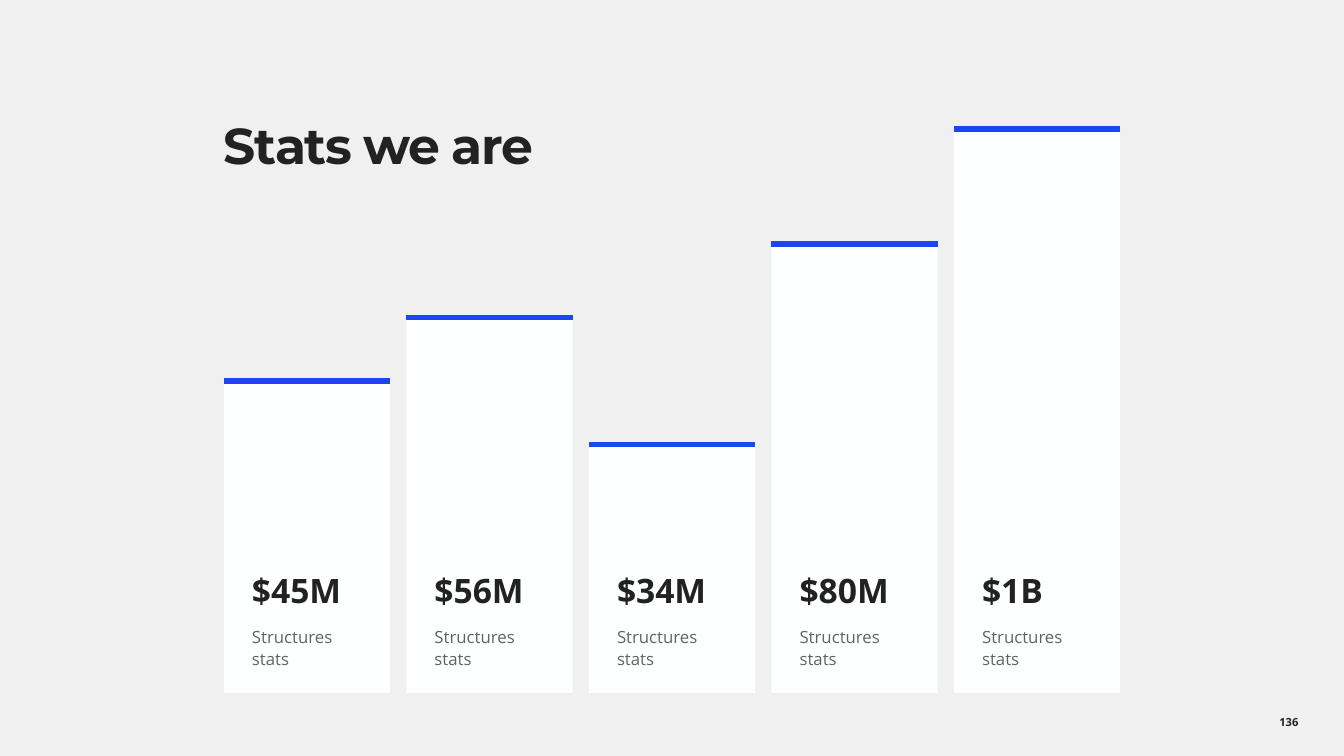
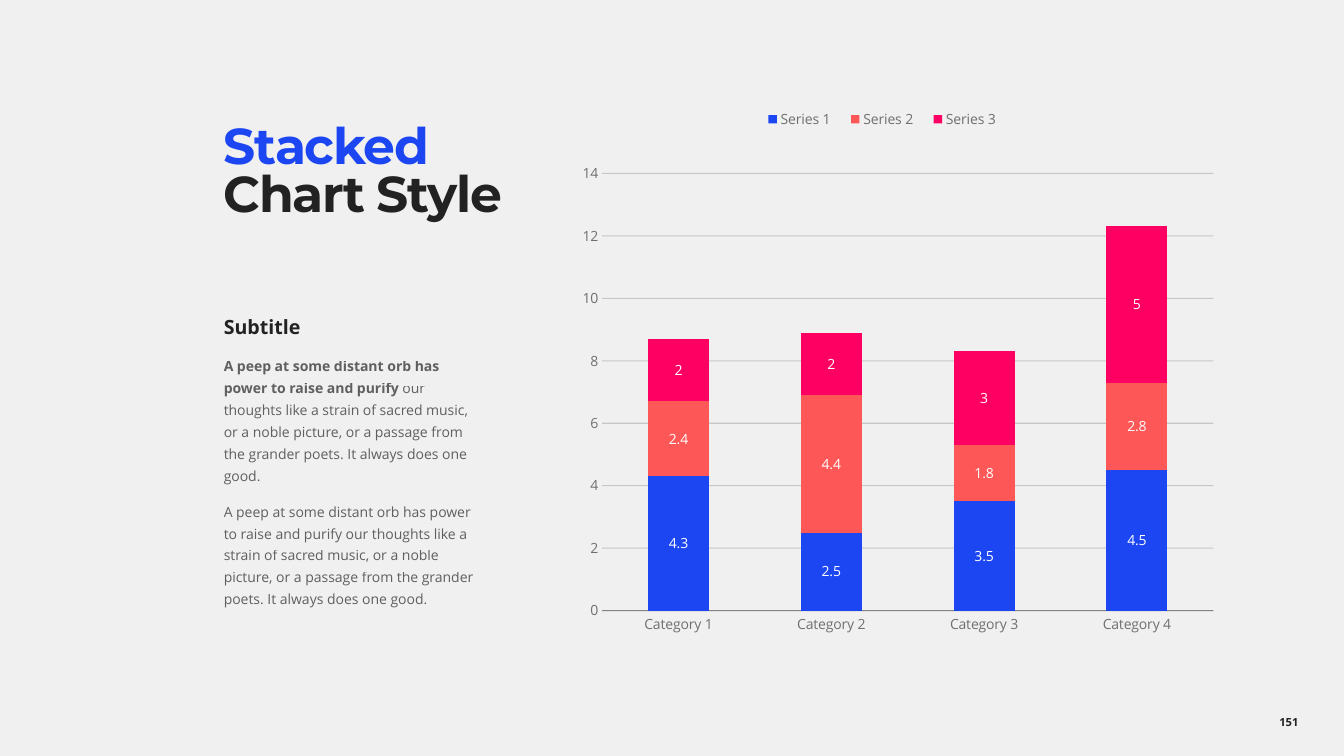
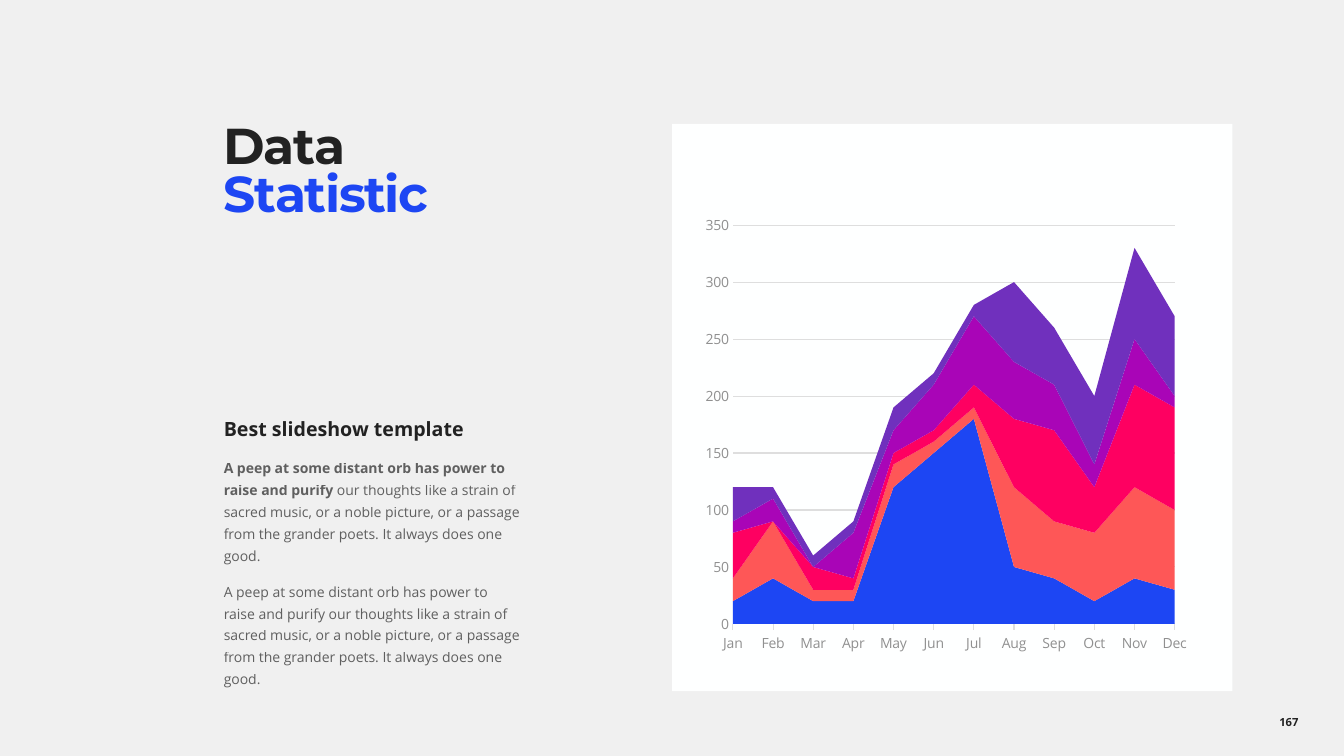
"""Build three statistics slides: value columns, a stacked column chart and a stacked area chart."""
from dataclasses import dataclass

from lxml.etree import SubElement
from pptx import Presentation
from pptx.chart.chart import Chart
from pptx.chart.data import CategoryChartData
from pptx.dml.color import RGBColor
from pptx.dml.fill import FillFormat
from pptx.enum.chart import XL_CHART_TYPE, XL_LABEL_POSITION, XL_LEGEND_POSITION, XL_TICK_MARK
from pptx.enum.shapes import MSO_CONNECTOR, MSO_SHAPE
from pptx.enum.text import MSO_ANCHOR, PP_ALIGN
from pptx.oxml.ns import qn
from pptx.shapes.autoshape import Shape
from pptx.slide import Slide
from pptx.text.text import Font, TextFrame, _Paragraph
from pptx.util import Cm, Pt

BACKGROUND, WHITE, PANEL = "F0F0F0", "FFFFFF", "FEFFFF"
INK, BLUE, CORAL, PINK, PURPLE, VIOLET = "222222", "1D46F3", "FE5757", "FE0061", "A905B7", "7030BD"
PALETTE = (BLUE, CORAL, PINK, PURPLE, VIOLET)
HEADING_FONT, BODY_FONT = "Montserrat", "Open Sans"
MARGIN = 5.64
CARD_WIDTH, CARD_PITCH, CARD_BOTTOM = 4.19, 4.6, 17.46
LEAD = "A peep at some distant orb has power to raise and purify "
REST = ("our thoughts like a strain of sacred music, or a noble picture, "
        "or a passage from the grander poets. It always does one good.")


@dataclass(frozen=True)
class Box:
    left: float
    top: float
    width: float
    height: float

    def lengths(self) -> tuple[Cm, Cm, Cm, Cm]:
        return Cm(self.left), Cm(self.top), Cm(self.width), Cm(self.height)


@dataclass(frozen=True)
class Card:
    value: str
    top: float


@dataclass(frozen=True)
class TitleLine:
    text: str
    color: str = INK


@dataclass(frozen=True)
class ChartStyle:
    text_color: str
    line_color: str
    axis_opacity: int
    grid_opacity: int
    maximum: int
    step: int
    plot_layout: tuple[float, float, float, float]


CARDS = (Card("$45M", 9.55), Card("$56M", 7.95), Card("$34M", 11.15),
         Card("$80M", 6.1), Card("$1B", 3.2))
COLUMN_STYLE = ChartStyle("6F6F6F", INK, 40, 20, 14, 2, (0.054, 0.136, 0.919, 0.694))
AREA_STYLE = ChartStyle("909090", "DEDEDE", 100, 100, 350, 50, (0.052, 0.126, 0.879, 0.718))
COLUMN_CATEGORIES = [f"Category {number}" for number in range(1, 5)]
COLUMN_VALUES = ((4.3, 2.5, 3.5, 4.5), (2.4, 4.4, 1.8, 2.8), (2, 2, 3, 5))
MONTHS = "Jan Feb Mar Apr May Jun Jul Aug Sep Oct Nov Dec".split()
AREA_VALUES = (
    (20, 40, 20, 20, 120, 150, 180, 50, 40, 20, 40, 30),
    (20, 50, 10, 10, 20, 10, 10, 70, 50, 60, 80, 70),
    (40, 0, 20, 10, 10, 10, 20, 60, 80, 40, 90, 90),
    (10, 20, 0, 40, 20, 40, 60, 50, 40, 20, 40, 10),
    (30, 10, 10, 10, 20, 10, 10, 70, 50, 60, 80, 70),
)


def paint(fill: FillFormat, color: str) -> None:
    fill.solid()
    fill.fore_color.rgb = RGBColor.from_string(color)


def set_opacity(element, percent: int) -> None:
    if percent < 100:
        for color in element.iter(qn("a:srgbClr")):
            SubElement(color, qn("a:alpha")).set("val", str(percent * 1000))


def set_font(font: Font, size: float, color: str, bold: bool = False, name: str = BODY_FONT) -> None:
    font.size, font.bold, font.name = Pt(size), bold, name
    paint(font.fill, color)


def set_insets(frame: TextFrame, left: float, top: float, right: float, bottom: float) -> None:
    frame.word_wrap = True
    frame.margin_left, frame.margin_top = Cm(left), Cm(top)
    frame.margin_right, frame.margin_bottom = Cm(right), Cm(bottom)


def add_paragraph(frame: TextFrame, spacing: float) -> _Paragraph:
    paragraph = frame.add_paragraph()
    paragraph.line_spacing, paragraph.space_before = spacing, Pt(10)
    return paragraph


def add_panel(slide: Slide, box: Box) -> Shape:
    shape = slide.shapes.add_shape(MSO_SHAPE.RECTANGLE, *box.lengths())
    shape.shadow.inherit = False
    paint(shape.fill, PANEL)
    shape.line.fill.background()
    return shape


def add_base_slide(presentation: Presentation, number: int, title: tuple[TitleLine, ...]) -> Slide:
    slide = presentation.slides.add_slide(presentation.slide_layouts[6])
    paint(slide.background.fill, BACKGROUND)

    frame = slide.shapes.add_textbox(*Box(31.09, 17.68, 2.79, 1.02).lengths()).text_frame
    frame.word_wrap, frame.vertical_anchor = True, MSO_ANCHOR.MIDDLE
    paragraph = frame.paragraphs[0]
    paragraph.text, paragraph.alignment = str(number), PP_ALIGN.CENTER
    set_font(paragraph.font, 8, INK, True)

    frame = slide.shapes.add_textbox(*Box(MARGIN, 2.64, 25.43, 3.48).lengths()).text_frame
    set_insets(frame, 0, 0.53, 0, 0)
    paragraph = frame.paragraphs[0]
    paragraph.line_spacing = 0.8
    set_font(paragraph.font, 36, INK, True, HEADING_FONT)
    paragraph._p.pPr.find(qn("a:defRPr")).set("spc", "-100")
    for index, line in enumerate(title):
        if index:
            paragraph.add_line_break()
        run = paragraph.add_run()
        run.text = line.text
        paint(run.font.fill, line.color)
    return slide


def add_card(slide: Slide, card: Card, left: float) -> None:
    shape = add_panel(slide, Box(left, card.top, CARD_WIDTH, CARD_BOTTOM - card.top))
    frame = shape.text_frame
    set_insets(frame, 0.71, 0.89, 0.51, 0.61)
    frame.vertical_anchor = MSO_ANCHOR.BOTTOM
    value = frame.paragraphs[0]
    value.text, value.line_spacing, value.alignment = card.value, 1.1, PP_ALIGN.LEFT
    set_font(value.font, 24, INK, True)
    caption = add_paragraph(frame, 1.1)
    caption.text, caption.alignment = "Structures stats", PP_ALIGN.LEFT
    set_font(caption.font, 12, INK)
    set_opacity(caption._p, 70)

    height = Cm(card.top + 0.05)
    edge = slide.shapes.add_connector(
        MSO_CONNECTOR.STRAIGHT, Cm(left), height, Cm(left + CARD_WIDTH), height)
    edge.line.width = Pt(4)
    paint(edge.line.fill, BLUE)
    SubElement(edge._element.spPr, qn("a:effectLst"))


def add_body(slide: Slide, box: Box, subtitle: str) -> None:
    frame = slide.shapes.add_textbox(*box.lengths()).text_frame
    set_insets(frame, 0, 0.1, 0.61, 0.1)
    heading = frame.paragraphs[0]
    heading.text, heading.line_spacing = subtitle, 1.3
    set_font(heading.font, 14, INK, True)
    for parts in ((LEAD, REST), (LEAD + REST,)):
        paragraph = add_paragraph(frame, 1.3)
        for part in parts:
            run = paragraph.add_run()
            run.text = part
            if part == LEAD:
                run.font.bold = True
        set_font(paragraph.font, 10, INK)
        set_opacity(paragraph._p, 70)


def set_layout(parent, position: int, values: tuple[float, ...], inner: bool = False) -> None:
    for old in parent.findall(qn("c:layout")):
        parent.remove(old)
    layout = SubElement(parent, qn("c:layout"))
    parent.insert(position, layout)
    manual = SubElement(layout, qn("c:manualLayout"))
    if inner:
        SubElement(manual, qn("c:layoutTarget")).set("val", "inner")
    for name in ("xMode", "yMode"):
        SubElement(manual, qn(f"c:{name}")).set("val", "edge")
    for name, value in zip("xywh", values):
        SubElement(manual, qn(f"c:{name}")).set("val", str(value))


def add_stacked_chart(slide: Slide, kind: XL_CHART_TYPE, box: Box, categories: list[str],
                      rows: tuple[tuple[float, ...], ...], style: ChartStyle) -> Chart:
    data = CategoryChartData()
    data.categories = categories
    for number, row in enumerate(rows, 1):
        data.add_series(f"Series {number}", row)
    chart = slide.shapes.add_chart(kind, *box.lengths(), data).chart
    chart.has_title = chart.has_legend = False
    set_font(chart.font, 10, INK)
    chart.plots[0].vary_by_categories = False
    for series, color in zip(chart.plots[0].series, PALETTE):
        paint(series.format.fill, color)

    category_axis, value_axis = chart.category_axis, chart.value_axis
    for axis in (category_axis, value_axis):
        axis.major_tick_mark = axis.minor_tick_mark = XL_TICK_MARK.NONE
        set_font(axis.tick_labels.font, 10, style.text_color)
    category_axis.has_major_gridlines = False
    value_axis.has_major_gridlines = True
    value_axis.minimum_scale, value_axis.maximum_scale = 0, style.maximum
    value_axis.major_unit = style.step
    value_axis.format.line.fill.background()
    for line in (category_axis.format.line, value_axis.major_gridlines.format.line):
        line.width = Pt(0.75)
        paint(line.fill, style.line_color)
    set_opacity(category_axis._element.find(qn("c:spPr")), style.axis_opacity)
    set_opacity(value_axis._element.find(qn("c:majorGridlines")), style.grid_opacity)
    set_layout(chart._chartSpace.chart.plotArea, 0, style.plot_layout, inner=True)
    return chart


def build_columns(presentation: Presentation) -> None:
    slide = add_base_slide(presentation, 136, (TitleLine("Stats we are"),))
    for index, card in enumerate(CARDS):
        add_card(slide, card, MARGIN + index * CARD_PITCH)


def build_stacked_chart(presentation: Presentation) -> None:
    title = (TitleLine("Stacked", BLUE), TitleLine("Chart Style"))
    slide = add_base_slide(presentation, 151, title)
    chart = add_stacked_chart(slide, XL_CHART_TYPE.COLUMN_STACKED, Box(14.27, 2.21, 16.76, 15.88),
                              COLUMN_CATEGORIES, COLUMN_VALUES, COLUMN_STYLE)
    plot = chart.plots[0]
    plot.gap_width, plot.overlap = 150, 100
    plot.has_data_labels = True
    labels = plot.data_labels
    labels.show_value, labels.position = True, XL_LABEL_POSITION.CENTER
    set_font(labels.font, 10, WHITE)
    chart.has_legend = True
    legend = chart.legend
    legend.position, legend.include_in_layout = XL_LEGEND_POSITION.BOTTOM, False
    set_font(legend.font, 10, COLUMN_STYLE.text_color)
    set_layout(legend._element, 1, (0.28, 0.03, 0.39, 0.04))
    add_body(slide, Box(MARGIN, 7.67, 6.96, 7.75), "Subtitle")


def build_area_chart(presentation: Presentation) -> None:
    title = (TitleLine("Data"), TitleLine("Statistic", BLUE))
    slide = add_base_slide(presentation, 167, title)
    add_body(slide, Box(MARGIN, 10.24, 8.08, 7.21), "Best slideshow template")
    add_panel(slide, Box(16.94, 3.12, 14.12, 14.3))
    chart = add_stacked_chart(slide, XL_CHART_TYPE.AREA_STACKED, Box(17.78, 3.91, 12.7, 14),
                              MONTHS, AREA_VALUES, AREA_STYLE)
    chart.category_axis.major_tick_mark = XL_TICK_MARK.OUTSIDE


def main() -> None:
    presentation = Presentation()
    presentation.slide_width, presentation.slide_height = Cm(33.87), Cm(19.05)
    build_columns(presentation)
    build_stacked_chart(presentation)
    build_area_chart(presentation)
    presentation.save("out.pptx")


if __name__ == "__main__":
    main()
